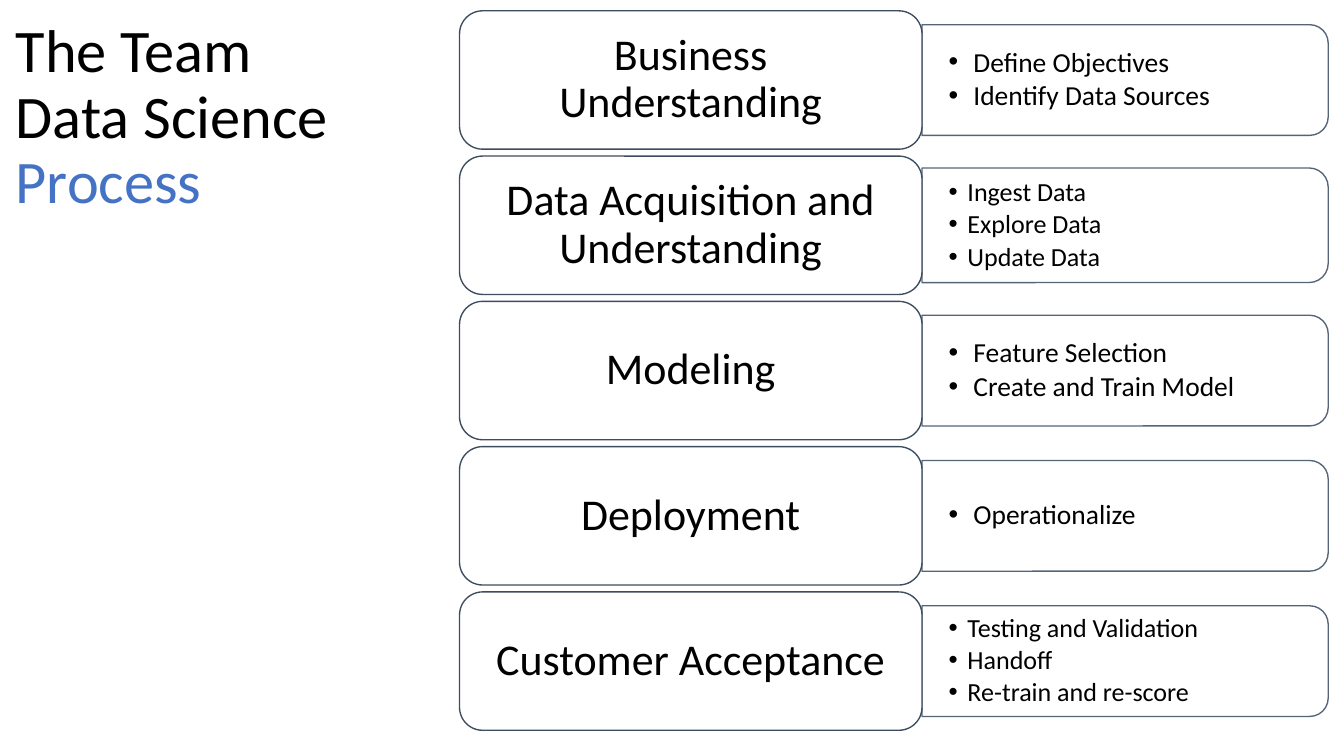
from lxml import etree
from pptx import Presentation
from pptx.dml.color import RGBColor
from pptx.enum.shapes import MSO_SHAPE
from pptx.enum.text import MSO_ANCHOR, MSO_AUTO_SIZE, PP_ALIGN
from pptx.oxml.ns import qn
from pptx.util import Inches, Pt

TITLE = ("The Team Data Science ", "Process")
STAGES = [
    ("Business Understanding", ["Define Objectives", "Identify Data Sources"]),
    ("Data Acquisition and Understanding",
     ["Ingest Data", "Explore Data", "Update Data"]),
    ("Modeling", ["Feature Selection", "Create and Train Model"]),
    ("Deployment", ["Operationalize"]),
    ("Customer Acceptance",
     ["Testing and Validation", "Handoff", "Re-train and re-score"]),
]

FONT = "Calibri"
BLACK = RGBColor(0, 0, 0)
WHITE = RGBColor(255, 255, 255)
BLUE = RGBColor(0x44, 0x72, 0xC4)
SLATE = RGBColor(0x44, 0x54, 0x6A)
EDGE = RGBColor(0x3E, 0x4C, 0x60)

ROUND = MSO_SHAPE.ROUNDED_RECTANGLE
TAB = MSO_SHAPE.ROUND_2_SAME_RECTANGLE
TOP, MIDDLE = MSO_ANCHOR.TOP, MSO_ANCHOR.MIDDLE
LEFT, CENTER = PP_ALIGN.LEFT, PP_ALIGN.CENTER
NO_FIT = MSO_AUTO_SIZE.NONE

WIDE, HIGH = 13.6, 7.65
ROW_TOP, PITCH, ROW_H = 0.11, 1.47, 1.4
STAGE_X, STAGE_W = 4.65, 4.68
TASK_X, TASK_W = STAGE_X + STAGE_W, 4.11


def setup(frame, side, edge, anchor):
    frame.word_wrap = True
    frame.auto_size = NO_FIT
    frame.margin_left = frame.margin_right = Inches(side)
    frame.margin_top = frame.margin_bottom = Inches(edge)
    frame.vertical_anchor = anchor


def style(para, size, align):
    para.alignment = align
    para.line_spacing = 0.9
    for run in para.runs:
        run.font.name = FONT
        run.font.size = Pt(size)
        run.font.color.rgb = BLACK


def bullet(para, indent):
    props = para._p.get_or_add_pPr()
    props.set("marL", str(Inches(indent)))
    props.set("indent", str(-Inches(indent)))
    etree.SubElement(props, qn("a:buFont")).set("typeface", "Arial")
    etree.SubElement(props, qn("a:buChar")).set("char", "•")


def add_box(shapes, kind, place, edge):
    box = shapes.add_shape(kind, *map(Inches, place))
    box.shadow.inherit = False
    box.fill.solid()
    box.fill.fore_color.rgb = WHITE
    box.line.color.rgb = edge
    box.line.width = Pt(1)
    return box


def add_tasks(shapes, tasks, mid):
    """Draw the panel on its side, then its bulleted list over it."""
    full = len(tasks) > 2
    size, indent = (19, 0.19) if full else (20, 0.25)
    high = 1.12
    if tasks[0] == "Ingest Data":
        high = 1.16
    place = (TASK_X + (TASK_W - high) / 2, mid - TASK_W / 2, high, TASK_W)
    panel = add_box(shapes, TAB, place, SLATE)
    panel.rotation = 90
    for color in panel._element.spPr.iter(qn("a:srgbClr")):
        etree.SubElement(color, qn("a:alpha")).set("val", "90000")

    inner = high - 0.11
    area = (TASK_X, mid - inner / 2, TASK_W - 0.06, inner)
    frame = shapes.add_textbox(*map(Inches, area)).text_frame
    setup(frame, 0.27, 0.14, MIDDLE)
    frame.text = "\n".join(tasks)
    for para in frame.paragraphs:
        bullet(para, indent)
        style(para, size, LEFT)
        para.space_after = Pt(round(0.15 * size))


def add_stage(shapes, name, top):
    box = add_box(shapes, ROUND, (STAGE_X, top, STAGE_W, ROW_H), EDGE)
    frame = box.text_frame
    setup(frame, 0.2, 0.14, MIDDLE)
    frame.text = name
    style(frame.paragraphs[0], 32, CENTER)


def add_title(title):
    title.left, title.top = 0, Inches(ROW_TOP)
    title.width, title.height = Inches(3.86), Inches(2.26)
    frame = title.text_frame
    setup(frame, 0.16, 0.1, TOP)
    para = frame.paragraphs[0]
    for part in TITLE:
        para.add_run().text = part
    style(para, 44, LEFT)
    para.runs[-1].font.color.rgb = BLUE


def main():
    deck = Presentation()
    deck.slide_width, deck.slide_height = Inches(WIDE), Inches(HIGH)
    slide = deck.slides.add_slide(deck.slide_layouts[5])
    add_title(slide.shapes.title)
    for row, (name, tasks) in enumerate(STAGES):
        top = ROW_TOP + row * PITCH
        add_tasks(slide.shapes, tasks, top + ROW_H / 2)
        add_stage(slide.shapes, name, top)
    deck.save("out.pptx")


if __name__ == "__main__":
    main()
